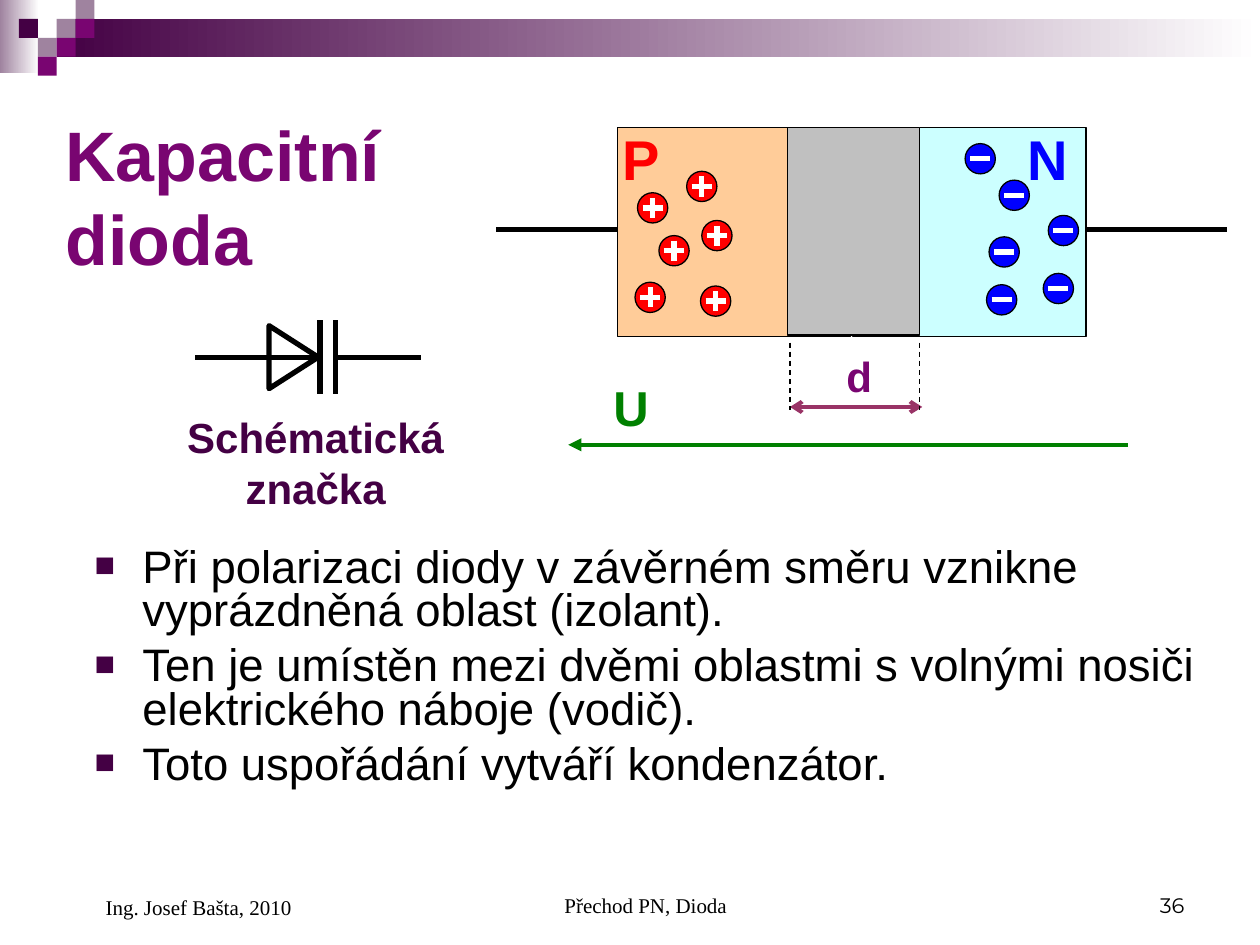
from dataclasses import dataclass

from lxml import etree
from pptx import Presentation
from pptx.dml.color import RGBColor
from pptx.enum.dml import MSO_LINE
from pptx.enum.shapes import MSO_CONNECTOR, MSO_SHAPE
from pptx.enum.text import MSO_ANCHOR, MSO_AUTO_SIZE, PP_ALIGN
from pptx.oxml.ns import qn
from pptx.util import Inches, Pt

RECT, OVAL, TRI = MSO_SHAPE.RECTANGLE, MSO_SHAPE.OVAL, MSO_SHAPE.ISOSCELES_TRIANGLE
STRAIGHT, DASH = MSO_CONNECTOR.STRAIGHT, MSO_LINE.DASH
LEFT, MID, RIGHT = PP_ALIGN.LEFT, PP_ALIGN.CENTER, PP_ALIGN.RIGHT
TOP, CENTRE, BOTTOM = MSO_ANCHOR.TOP, MSO_ANCHOR.MIDDLE, MSO_ANCHOR.BOTTOM


@dataclass(frozen=True)
class Theme:
    # Colours
    black: str = "000000"
    white: str = "FFFFFF"
    dark: str = "440044"
    plum: str = "790571"
    mauve: str = "9F839F"
    peach: str = "FFCC99"
    ice: str = "CCFFFF"
    grey: str = "C0C0C0"
    red: str = "FF0000"
    blue: str = "0000FF"
    green: str = "008000"
    wine: str = "993366"
    # Fonts and type sizes
    sans: str = "Arial"
    serif: str = "Times New Roman"
    digit: str = "Montserrat"
    title: int = 40
    zone: int = 32
    volt: int = 28
    body: int = 26
    label: int = 24
    foot: int = 12
    # Line widths
    thin: float = 0.75
    thick: float = 3


T = Theme()


def rgb(code):
    return RGBColor.from_string(code)


def place(shape, box):
    shape.left, shape.top, shape.width, shape.height = (Inches(v) for v in box)


def bullet(para):
    props = para._p.get_or_add_pPr()
    props.set("marL", str(Inches(0.38)))
    props.set("indent", str(-Inches(0.38)))
    tint = etree.SubElement(props, qn("a:buClr"))
    etree.SubElement(tint, qn("a:srgbClr"), val=T.dark)
    etree.SubElement(props, qn("a:buSzPct"), val="75000")
    etree.SubElement(props, qn("a:buFont"), typeface=T.sans)
    etree.SubElement(props, qn("a:buChar"), char="■")


def write(frame, *lines, size=T.label, color=T.black, font=T.sans, bold=False,
          align=LEFT, anchor=TOP, indent=0, marked=False, gap=0, pitch=None):
    frame.word_wrap = True
    frame.auto_size = MSO_AUTO_SIZE.NONE
    frame.vertical_anchor = anchor
    for i, line in enumerate(lines):
        para = frame.add_paragraph() if i else frame.paragraphs[0]
        para.text = line
        if marked:
            bullet(para)
        elif indent:
            para._p.get_or_add_pPr().set("marL", str(Inches(indent)))
        para.alignment = align
        para.space_before = Pt(gap if i else 0)
        if pitch:
            para.line_spacing = pitch
        for run in para.runs:
            run.font.size, run.font.name, run.font.bold = Pt(size), font, bold
            run.font.color.rgb = rgb(color)


def label(slide, box, text, **style):
    shape = slide.shapes.add_textbox(*(Inches(v) for v in box))
    write(shape.text_frame, text, **style)


def draw(slide, kind, box, fill=None, line=None, width=T.thin, fade=False):
    shape = slide.shapes.add_shape(kind, *(Inches(v) for v in box))
    shape.shadow.inherit = False
    if fade:
        shape.fill.gradient()
        shape.fill.gradient_angle = 0
        for stop, code in zip(shape.fill.gradient_stops, (fill, T.white)):
            stop.color.rgb = rgb(code)
    elif fill:
        shape.fill.solid()
        shape.fill.fore_color.rgb = rgb(fill)
    else:
        shape.fill.background()
    if line:
        shape.line.color.rgb = rgb(line)
        shape.line.width = Pt(width)
    else:
        shape.line.fill.background()
    return shape


def rule(slide, x1, y1, x2, y2, color=T.black, width=T.thick, dash=None,
         head=None, tail=None):
    line = slide.shapes.add_connector(STRAIGHT, *(Inches(v) for v in (x1, y1, x2, y2)))
    line.line.color.rgb = rgb(color)
    line.line.width = Pt(width)
    if dash:
        line.line.dash_style = dash
    for tag, tip in (("a:headEnd", head), ("a:tailEnd", tail)):
        if tip:
            etree.SubElement(line.line._ln, qn(tag), type=tip)
    etree.SubElement(line._element.spPr, qn("a:effectLst"))


# Checkered band across the top
def banner(slide, x, y):
    draw(slide, RECT, (x, y, 0.31, 0.58), T.mauve, fade=True)
    draw(slide, RECT, (x + 0.45, y + 0.15, 9.55, 0.3), T.dark, fade=True)
    cell = 0.15
    tiles = ((3, 1, T.mauve), (4, 0, T.mauve), (4, 1, T.plum), (2, 2, T.mauve),
             (1, 1, T.dark), (3, 2, T.plum), (2, 3, T.plum))
    for col, row, fill in tiles:
        draw(slide, RECT, (x + col * cell, y + row * cell, cell, cell), fill)


# Charge carrier: a disc with a plus or a minus
def charge(slide, x, y, fill, plus):
    size, arm = 0.24, 0.08
    cx, cy = x + size / 2, y + size / 2
    draw(slide, OVAL, (x, y, size, size), fill, T.black)
    rule(slide, cx - arm, cy, cx + arm, cy, T.white)
    if plus:
        rule(slide, cx, cy - arm, cx, cy + arm, T.white)


# P and N zones on their wire
def diode(slide, x, y):
    rule(slide, x - 0.96, y + 0.81, x + 4.84, y + 0.81)
    for dx, fill in ((0, T.peach), (1.87, T.ice)):
        draw(slide, RECT, (x + dx, y, 1.85, 1.66), fill, T.black)
    holes = ((0.16, 0.52), (0.14, 1.23), (0.55, 0.35), (0.33, 0.86),
             (0.67, 0.74), (0.66, 1.26))
    free = ((2.76, 0.13), (3.03, 0.42), (2.95, 0.87), (2.93, 1.25),
            (3.38, 1.16), (3.42, 0.7))
    for spots, fill, plus in ((holes, T.red, True), (free, T.blue, False)):
        for dx, dy in spots:
            charge(slide, x + dx, y + dy, fill, plus)
    for dx, text, color in ((-0.06, "P", T.red), (3.16, "N", T.blue)):
        label(slide, (x + dx, y - 0.07, 0.58, 0.64), text, size=T.zone,
              color=color, bold=True)


# Depleted zone with its width d
def gap(slide, x, y):
    wide = 1.05
    draw(slide, RECT, (x, y, wide, 1.65), T.grey, T.black)
    rule(slide, x + 0.02, y + 2.22, x + 0.02 + wide, y + 2.22, T.wine, 2.25,
         head="arrow", tail="arrow")
    for side in (x + 0.02, x + wide):
        rule(slide, side, y + 1.71, side, y + 2.24, width=T.thin, dash=DASH)
    label(slide, (x + 0.37, y + 1.72, 0.47, 0.5), "d", color=T.plum, bold=True)


# Circuit symbol and its caption
def symbol(slide, x, y):
    rule(slide, x, y, x + 0.97, y)
    tip = draw(slide, TRI, (x + 0.53, y - 0.2, 0.5, 0.39), None, T.black, T.thick)
    tip.rotation = 90
    for dx in (0.99, 1.11):
        rule(slide, x + dx, y - 0.3, x + dx, y + 0.29)
    rule(slide, x + 1.13, y, x + 1.79, y)
    label(slide, (x - 0.18, y + 0.38, 2.27, 0.9), "Schématická značka",
          color=T.dark, bold=True, align=MID)


# Voltage arrow
def volts(slide, x, y):
    rule(slide, x + 4.44, y, x, y, T.green, 2.5, tail="triangle")
    label(slide, (x + 0.26, y - 0.58, 0.72, 0.57), "U", size=T.volt,
          color=T.green, bold=True)


# Author, subject and page number
def footer(slide, x, y):
    base = dict(size=T.foot, anchor=BOTTOM)
    label(slide, (x, y, 2.33, 0.52), "Ing. Josef Bašta, 2010", font=T.serif,
          indent=0.24, **base)
    label(slide, (x + 2.92, y, 3.17, 0.5), "Přechod PN, Dioda", font=T.serif,
          align=MID, indent=0.24, **base)
    label(slide, (x + 6.67, y, 2.33, 0.5), "36", font=T.digit, align=RIGHT, **base)


# Title and list
def prose(slide):
    title, body = slide.placeholders
    place(title, (0.42, 0.8, 3.37, 1.5))
    write(title.text_frame, "Kapacitní\vdioda", size=T.title, color=T.plum,
          bold=True, anchor=CENTRE)
    place(body, (0.65, 4.3, 9, 2.32))
    write(body.text_frame,
          "Při polarizaci diody v závěrném směru vznikne vyprázdněná oblast (izolant).",
          "Ten je umístěn mezi dvěmi oblastmi s volnými nosiči elektrického náboje (vodič).",
          "Toto uspořádání vytváří kondenzátor.",
          size=T.body, marked=True, gap=6.5, pitch=0.8)


def main():
    deck = Presentation()
    deck.slide_width, deck.slide_height = Inches(10), Inches(7.5)
    slide = deck.slides.add_slide(deck.slide_layouts[1])
    banner(slide, 0, 0)
    prose(slide)
    diode(slide, 4.9, 1.01)
    gap(slide, 6.25, 1.01)
    symbol(slide, 1.55, 2.84)
    volts(slide, 4.51, 3.53)
    footer(slide, 0.5, 6.83)
    deck.save("out.pptx")


if __name__ == "__main__":
    main()
